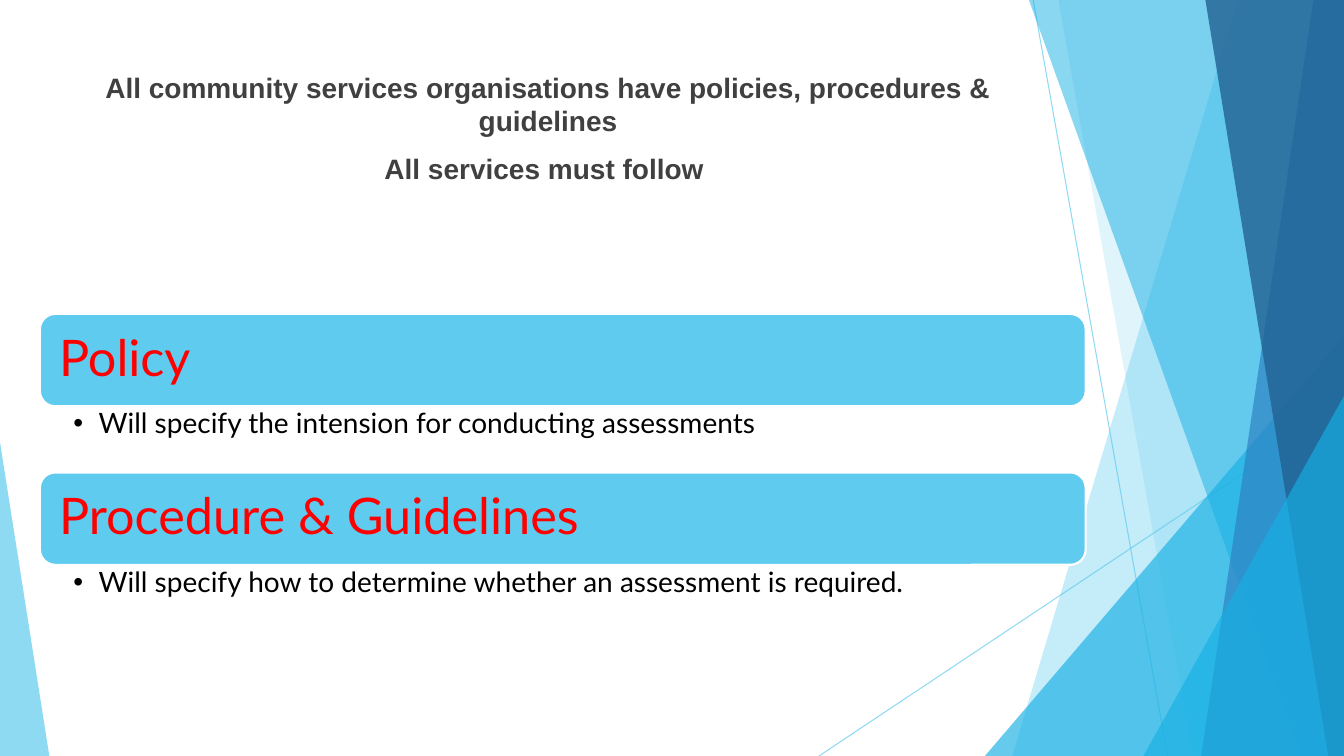
from dataclasses import dataclass

from lxml import etree
from pptx import Presentation
from pptx.dml.color import RGBColor
from pptx.enum.shapes import MSO_CONNECTOR, MSO_SHAPE
from pptx.enum.text import MSO_ANCHOR, MSO_AUTO_SIZE, PP_ALIGN
from pptx.oxml.ns import qn
from pptx.util import Pt

PX = 9525
WIDTH, HEIGHT = 1280, 720
STRAIGHT = MSO_CONNECTOR.STRAIGHT
TRIANGLE = MSO_SHAPE.ISOSCELES_TRIANGLE
ROUNDED = MSO_SHAPE.ROUNDED_RECTANGLE
TOP, MIDDLE = MSO_ANCHOR.TOP, MSO_ANCHOR.MIDDLE
LEFT, CENTER = PP_ALIGN.LEFT, PP_ALIGN.CENTER
NO_AUTOFIT = MSO_AUTO_SIZE.NONE

SKY, CYAN, BLUE, NAVY = "5FCBEF", "17B0E4", "2E83C3", "226292"
WHITE, BLACK, RED, GREY = "FFFFFF", "000000", "FF0000", "404040"


@dataclass
class Ray:
    start: tuple[int, int]
    end: tuple[int, int]


@dataclass
class Band:
    top_x: int
    bottom_x: int
    color: str
    opacity: int


@dataclass
class Wedge:
    left: int
    top: int
    width: int
    apex: int
    color: str
    opacity: int


@dataclass
class Section:
    heading: str
    detail: str


RAYS = [Ray((984, 0), (1112, 720)), Ray((1280, 387), (780, 720))]
FACETS = [
    Band(1179, 964, SKY, 36),
    Band(1008, 1136, SKY, 20),
    Wedge(938, 320, 342, 1, CYAN, 66),
    Band(980, 1239, CYAN, 50),
    Band(1251, 1144, BLUE, 70),
    Band(1148, 1265, NAVY, 80),
    Wedge(1089, 377, 191, 1, CYAN, 66),
    Wedge(0, 421, 47, 0, SKY, 70),
]
INTRODUCTION = [
    "All community services organisations have policies, procedures & guidelines",
    "All services must follow ",
]
SECTIONS = [
    Section("Policy", "Will specify the intension for conducting assessments"),
    Section("Procedure & Guidelines",
            "Will specify how to determine whether an assessment is required."),
]
SECTION_LEFT, SECTION_TOP, SECTION_WIDTH = 38, 299, 996
BAR_HEIGHT, DETAIL_HEIGHT = 88, 63


def rgb(color: str) -> RGBColor:
    return RGBColor.from_string(color)


def apply(target, values: dict) -> None:
    for name, value in values.items():
        setattr(target, name, value)


def box(left: int, top: int, width: int, height: int) -> list[int]:
    return [length * PX for length in (left, top, width, height)]


def set_opacity(shape, percent: int) -> None:
    for color in shape._element.spPr.iter(qn("a:srgbClr")):
        etree.SubElement(color, qn("a:alpha"), val=str(percent * 1000))


def fill_shape(shape, color: str) -> None:
    shape.shadow.inherit = False
    shape.fill.solid()
    shape.fill.fore_color.rgb = rgb(color)


def format_frame(frame, anchor, insets: tuple[int, int, int, int]) -> None:
    left, top, right, bottom = box(*insets)
    apply(frame, {"word_wrap": True, "auto_size": NO_AUTOFIT,
                  "vertical_anchor": anchor, "margin_left": left, "margin_top": top,
                  "margin_right": right, "margin_bottom": bottom})


def write(paragraph, text: str, font: dict, color: str, layout: dict) -> None:
    run = paragraph.add_run()
    run.text = text
    apply(run.font, font)
    run.font.color.rgb = rgb(color)
    apply(paragraph, layout)


def set_bullet(paragraph, symbol: str | None, indent: int) -> None:
    properties = paragraph._p.get_or_add_pPr()
    properties.set("marL", str(indent * PX))
    properties.set("indent", str(-indent * PX))
    if symbol:
        etree.SubElement(properties, qn("a:buFont"), typeface="Arial")
        etree.SubElement(properties, qn("a:buChar"), char=symbol)
    else:
        etree.SubElement(properties, qn("a:buNone"))


def draw_ray(slide, ray: Ray) -> None:
    points = [value * PX for value in ray.start + ray.end]
    connector = slide.shapes.add_connector(STRAIGHT, *points)
    connector.line.color.rgb = rgb(SKY)
    connector.line.width = Pt(0.75)
    set_opacity(connector, 70)
    etree.SubElement(connector._element.spPr, qn("a:effectLst"))


def draw_facet(slide, facet: Band | Wedge) -> None:
    if isinstance(facet, Band):
        builder = slide.shapes.build_freeform(facet.top_x, 0, scale=PX)
        builder.add_line_segments(
            [(WIDTH, 0), (WIDTH, HEIGHT), (facet.bottom_x, HEIGHT)], close=True)
        shape = builder.convert_to_shape()
    else:
        shape = slide.shapes.add_shape(
            TRIANGLE, *box(facet.left, facet.top, facet.width, HEIGHT - facet.top))
        shape.adjustments[0] = facet.apex
    fill_shape(shape, facet.color)
    set_opacity(shape, facet.opacity)
    shape.line.fill.background()


def draw_introduction(slide) -> None:
    title = slide.shapes.title
    title._element.getparent().remove(title._element)
    body = slide.placeholders[1]
    left, top, width, height = box(71, 62, 902, 571)
    apply(body, {"left": left, "top": top, "width": width, "height": height})
    frame = body.text_frame
    format_frame(frame, TOP, (10, 5, 10, 5))
    for index, text in enumerate(INTRODUCTION):
        paragraph = frame.add_paragraph() if index else frame.paragraphs[0]
        write(paragraph, text, {"name": "Arial", "size": Pt(20), "bold": True}, GREY,
              {"alignment": CENTER, "space_before": Pt(10)})
        set_bullet(paragraph, None, 0)


def draw_section(slide, section: Section, top: int) -> None:
    layout = {"alignment": LEFT, "line_spacing": 0.9}
    bar = slide.shapes.add_shape(
        ROUNDED, *box(SECTION_LEFT, top, SECTION_WIDTH, BAR_HEIGHT))
    fill_shape(bar, SKY)
    bar.line.color.rgb = rgb(WHITE)
    bar.line.width = Pt(1.5)
    format_frame(bar.text_frame, MIDDLE, (14, 14, 14, 14))
    write(bar.text_frame.paragraphs[0], section.heading,
          {"name": "Lato", "size": Pt(36)}, RED, layout)

    detail = slide.shapes.add_textbox(
        *box(SECTION_LEFT, top + BAR_HEIGHT, SECTION_WIDTH, DETAIL_HEIGHT))
    format_frame(detail.text_frame, TOP, (32, 3, 15, 3))
    paragraph = detail.text_frame.paragraphs[0]
    write(paragraph, section.detail, {"name": "Lato", "size": Pt(20)}, BLACK, layout)
    set_bullet(paragraph, "•", 24)


def main() -> None:
    presentation = Presentation()
    apply(presentation, {"slide_width": WIDTH * PX, "slide_height": HEIGHT * PX})
    slide = presentation.slides.add_slide(presentation.slide_layouts[1])
    for ray in RAYS:
        draw_ray(slide, ray)
    for facet in FACETS:
        draw_facet(slide, facet)
    draw_introduction(slide)
    for index, section in enumerate(SECTIONS):
        draw_section(slide, section, SECTION_TOP + index * (BAR_HEIGHT + DETAIL_HEIGHT))
    presentation.save("out.pptx")


if __name__ == "__main__":
    main()
